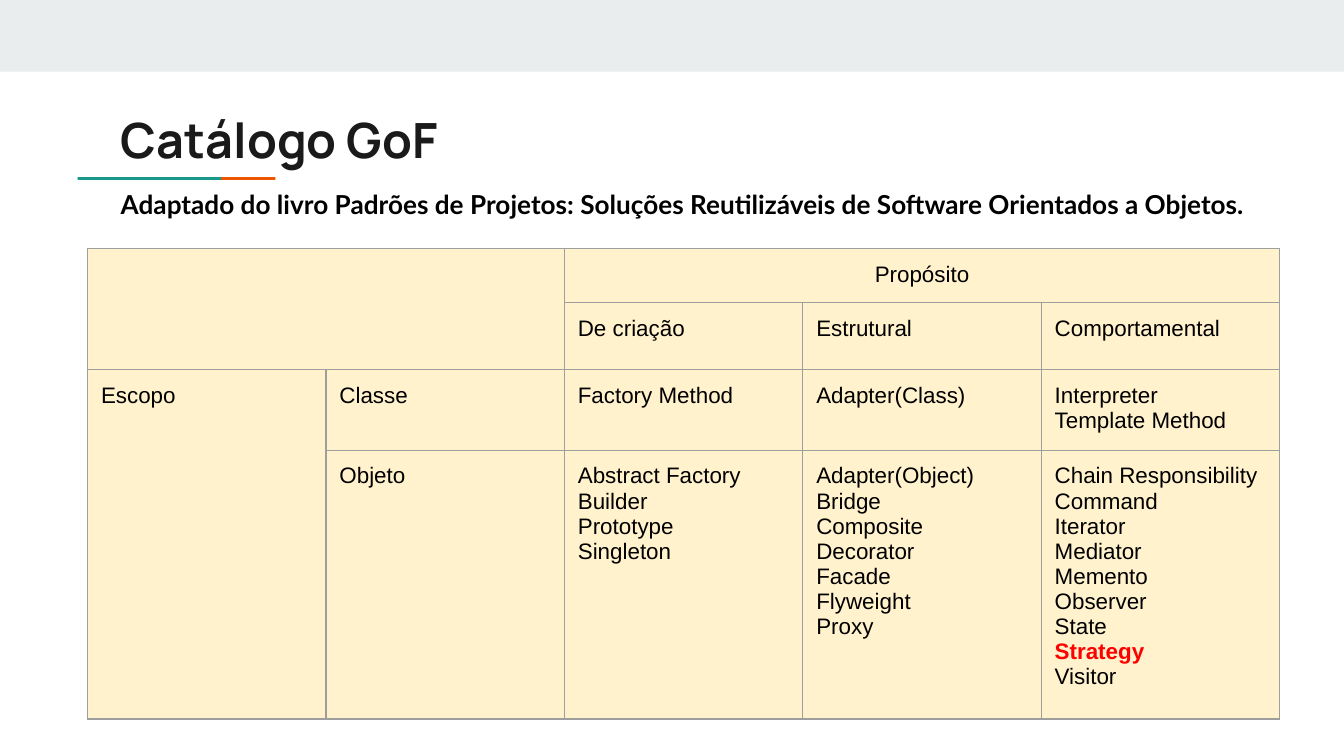
from lxml import etree
from pptx import Presentation
from pptx.dml.color import RGBColor
from pptx.enum import shapes, text
from pptx.oxml import ns
from pptx.util import Pt

COLORS = {"band": "E9EDEE", "teal": "1A9988", "orange": "EB5600", "title": "1A1A1A",
          "body": "000000", "cell": "FFF2CC", "border": "9E9E9E", "highlight": "FF0000"}
FORMATS = {
    "title": {"name": "Manrope", "size": Pt(26), "bold": True},
    "subtitle": {"name": "Lato", "size": Pt(14), "bold": True},
    "body": {"name": "Arial", "size": Pt(12), "bold": False},
    "highlight": {"name": "Arial", "size": Pt(12), "bold": True},
}
MARGINS = {f"margin_{side}": Pt(7.2) for side in ("left", "right", "top", "bottom")}


def write(paragraph, words, style, color):
    run = paragraph.add_run()
    run.text = words
    for key, value in FORMATS[style].items():
        setattr(run.font, key, value)
    run.font.color.rgb = RGBColor.from_string(COLORS[color])


def add_borders(cell):
    properties = cell._tc.get_or_add_tcPr()
    for position, edge in enumerate(("lnL", "lnR", "lnT", "lnB")):
        line = etree.Element(ns.qn(f"a:{edge}"), w=str(Pt(0.75)))
        fill = etree.SubElement(line, ns.qn("a:solidFill"))
        etree.SubElement(fill, ns.qn("a:srgbClr"), val=COLORS["border"])
        properties.insert(position, line)


prs = Presentation()
prs.slide_width, prs.slide_height = Pt(720), Pt(405)
slide = prs.slides.add_slide(prs.slide_layouts[6])

for color, left, top, width, height, rotation in (
    ("band", 0, 0, 720, 38.4, 0),
    ("orange", 108.3, 57.1, 1.5, 77, 270),
    ("teal", 79.3, 57.1, 1.5, 77, 270),
):
    bar = slide.shapes.add_shape(shapes.MSO_SHAPE.RECTANGLE, Pt(left), Pt(top), Pt(width), Pt(height))
    bar.rotation = rotation
    bar.shadow.inherit = False
    bar.fill.solid()
    bar.fill.fore_color.rgb = RGBColor.from_string(COLORS[color])
    bar.line.fill.background()

for words, style, color, top, width, height in (
    ("Catálogo GoF", "title", "title", 51.8, 605.5, 42.5),
    ("Adaptado do livro Padrões de Projetos: Soluções Reutilizáveis de Software Orientados a Objetos.",
     "subtitle", "body", 93.6, 617.8, 30.2),
):
    heading = slide.shapes.add_textbox(Pt(57.6), Pt(top), Pt(width), Pt(height)).text_frame
    for key, value in {**MARGINS, "word_wrap": True, "vertical_anchor": text.MSO_ANCHOR.TOP}.items():
        setattr(heading, key, value)
    write(heading.paragraphs[0], words, style, color)

catalog = [
    [[], [], ["Propósito"], [], []],
    [[], [], ["De criação"], ["Estrutural"], ["Comportamental"]],
    [["Escopo"], ["Classe"], ["Factory Method"], ["Adapter(Class)"], ["Interpreter", "Template Method"]],
    [[], ["Objeto"],
     ["Abstract Factory", "Builder", "Prototype", "Singleton"],
     ["Adapter(Object)", "Bridge", "Composite", "Decorator", "Facade", "Flyweight", "Proxy"],
     ["Chain Responsibility", "Command", "Iterator", "Mediator", "Memento", "Observer", "State",
      "Strategy", "Visitor"]],
]
row_heights = [20.9, 20.9, 32.4, 132.5]
column_width = 127.75
frame = slide.shapes.add_table(4, 5, Pt(46.9), Pt(133.1), Pt(5 * column_width), Pt(sum(row_heights)))
patterns = frame.table
patterns.first_row = patterns.horz_banding = False
for column in patterns.columns:
    column.width = Pt(column_width)
for row, height in zip(patterns.rows, row_heights):
    row.height = Pt(height)
frame.height = Pt(236.2)

for r, entries in enumerate(catalog):
    for c, names in enumerate(entries):
        cell = patterns.cell(r, c)
        for key, value in MARGINS.items():
            setattr(cell, key, value)
        cell.fill.solid()
        cell.fill.fore_color.rgb = RGBColor.from_string(COLORS["cell"])
        add_borders(cell)
        for i, name in enumerate(names):
            paragraph = cell.text_frame.add_paragraph() if i else cell.text_frame.paragraphs[0]
            style = "highlight" if name == "Strategy" else "body"
            write(paragraph, name, style, style)

for first, last in (((0, 0), (1, 1)), ((0, 2), (0, 4)), ((2, 0), (3, 0))):
    patterns.cell(*first).merge(patterns.cell(*last))
patterns.cell(0, 2).text_frame.paragraphs[0].alignment = text.PP_ALIGN.CENTER

prs.save("out.pptx")
